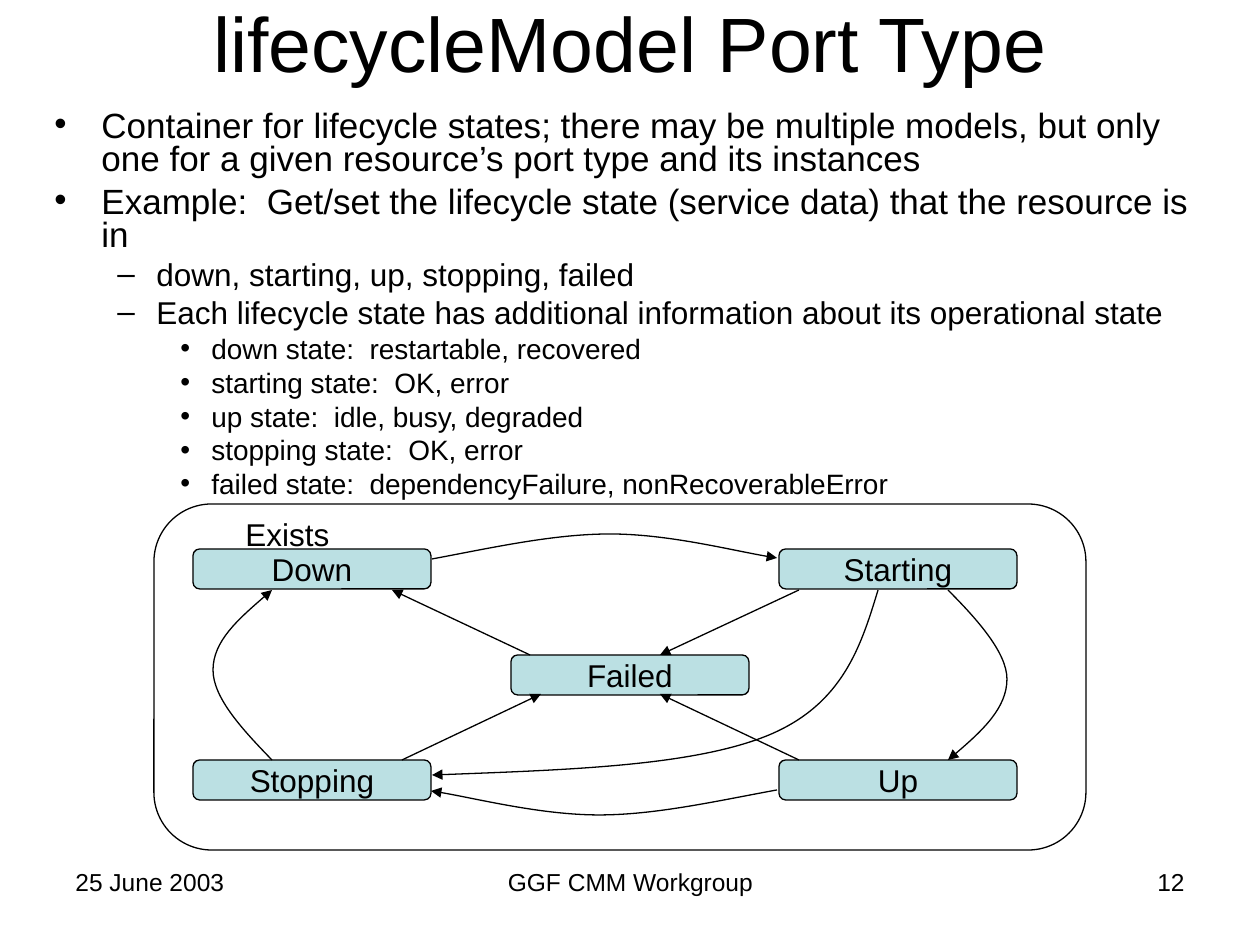
from lxml.etree import SubElement
from pptx import Presentation
from pptx.dml.color import RGBColor
from pptx.enum.shapes import MSO_CONNECTOR, MSO_SHAPE
from pptx.enum.text import MSO_ANCHOR, MSO_AUTO_SIZE, PP_ALIGN
from pptx.oxml.ns import qn
from pptx.util import Emu, Pt

SCALE = 914400 / 126
BLACK = "000000"
STATE_FILL = "BBE0E3"


def px(value):
    return Emu(round(value * SCALE))


def write(para, text, size, align=PP_ALIGN.LEFT):
    para.alignment = align
    span = para.add_run()
    span.text = text
    for name, value in {"name": "Arial", "size": Pt(size), "bold": False}.items():
        setattr(span.font, name, value)
    span.font.color.rgb = RGBColor.from_string(BLACK)


deck = Presentation()
deck.slide_width, deck.slide_height = px(1260), px(945)
page = deck.slides.add_slide(deck.slide_layouts[5])
shapes = page.shapes

title = shapes.title
title_format = {"left": px(63), "top": px(0), "width": px(1134), "height": px(84)}
for name, value in title_format.items():
    setattr(title, name, value)
title.text_frame.auto_size = MSO_AUTO_SIZE.NONE
title.text_frame.vertical_anchor = MSO_ANCHOR.MIDDLE
write(title.text_frame.paragraphs[0], "lifecycleModel Port Type", 44, PP_ALIGN.CENTER)

levels = [
    {"margin": 47, "indent": -47, "bullet": "•", "size": 20, "before": 5},
    {"margin": 102, "indent": -39, "bullet": "–", "size": 18, "before": 4.5},
    {"margin": 157, "indent": -31, "bullet": "•", "size": 16, "before": 4},
]
points = [
    (0, "Container for lifecycle states; there may be multiple models, but only one for a given resource’s port type and its instances"),
    (0, "Example:  Get/set the lifecycle state (service data) that the resource is in"),
    (1, "down, starting, up, stopping, failed"),
    (1, "Each lifecycle state has additional information about its operational state"),
    (2, "down state:  restartable, recovered"),
    (2, "starting state:  OK, error"),
    (2, "up state:  idle, busy, degraded"),
    (2, "stopping state:  OK, error"),
    (2, "failed state:  dependencyFailure, nonRecoverableError"),
]
body = shapes.add_textbox(px(42), px(105), px(1166), px(735)).text_frame
body.word_wrap = True
for index, (depth, text) in enumerate(points):
    level = levels[depth]
    para = body.add_paragraph() if index else body.paragraphs[0]
    para.level = depth
    para.line_spacing = 0.8
    if index:
        para.space_before = Pt(level["before"])
    properties = para._p.get_or_add_pPr()
    properties.set("marL", str(px(level["margin"])))
    properties.set("indent", str(px(level["indent"])))
    SubElement(properties, qn("a:buFont"), typeface="Arial")
    SubElement(properties, qn("a:buChar"), char=level["bullet"])
    write(para, text, level["size"])

boxes = [
    ("", 154, 504, 932, 346),
    ("Down", 193, 549, 238, 40),
    ("Starting", 779, 549, 238, 40),
    ("Up", 779, 760, 238, 40),
    ("Stopping", 193, 760, 238, 40),
    ("Failed", 511, 655, 238, 40),
]
for label, *place in boxes:
    box = shapes.add_shape(MSO_SHAPE.ROUNDED_RECTANGLE, *map(px, place))
    box.shadow.inherit = False
    box.line.color.rgb = RGBColor.from_string(BLACK)
    box.line.width = Pt(0.75)
    if label:
        box.fill.solid()
        box.fill.fore_color.rgb = RGBColor.from_string(STATE_FILL)
        box.text_frame.word_wrap = False
        box.text_frame.vertical_anchor = MSO_ANCHOR.MIDDLE
        write(box.text_frame.paragraphs[0], label, 18, PP_ALIGN.CENTER)
    else:
        box.fill.background()

straight_arrows = [
    (799, 760, 660, 694),
    (799, 590, 660, 655),
    (402, 760, 541, 694),
    (530, 655, 392, 590),
]
curved_arrows = [
    [(432, 559), (491, 548), (553, 534), (610, 534), (668, 534), (742, 553), (777, 558)],
    [(272, 760), (243, 730), (213, 698), (213, 670), (213, 641), (243, 615), (272, 590)],
    [(777, 790), (717, 801), (656, 815), (599, 815), (541, 815), (466, 796), (431, 791)],
    [(948, 590), (978, 620), (1007, 653), (1007, 679), (1007, 708), (978, 735), (948, 760)],
    [(878, 590), (861, 646), (843, 704), (769, 735), (694, 766), (563, 770), (432, 775)],
]
arrows = [
    shapes.add_connector(MSO_CONNECTOR.STRAIGHT, *map(px, ends)) for ends in straight_arrows
]
for start, *controls in curved_arrows:
    builder = shapes.build_freeform(*start, scale=SCALE)
    builder.add_line_segments(controls, close=False)
    curve = builder.convert_to_shape()
    curve.fill.background()
    track = next(curve._element.iter(qn("a:path")))
    segments = track.findall(qn("a:lnTo"))
    for first in range(0, len(segments), 3):
        bezier = SubElement(track, qn("a:cubicBezTo"))
        for segment in segments[first:first + 3]:
            bezier.append(segment[0])
            track.remove(segment)
    arrows.append(curve)
for arrow in arrows:
    arrow.line.color.rgb = RGBColor.from_string(BLACK)
    arrow.line.width = Pt(0.75)
    outline = arrow._element.spPr
    SubElement(outline.find(qn("a:ln")), qn("a:tailEnd"), type="triangle")
    SubElement(outline, qn("a:effectLst"))

captions = [
    ("Exists", 18, PP_ALIGN.LEFT, 233, 509, 188, 50),
    ("GGF CMM Workgroup", 14, PP_ALIGN.CENTER, 431, 861, 399, 66),
    ("12", 14, PP_ALIGN.RIGHT, 903, 861, 294, 66),
    ("25 June 2003", 14, PP_ALIGN.LEFT, 63, 861, 294, 66),
]
for text, size, align, *place in captions:
    caption = shapes.add_textbox(*map(px, place)).text_frame
    caption.word_wrap = True
    write(caption.paragraphs[0], text, size, align)

deck.save("out.pptx")
